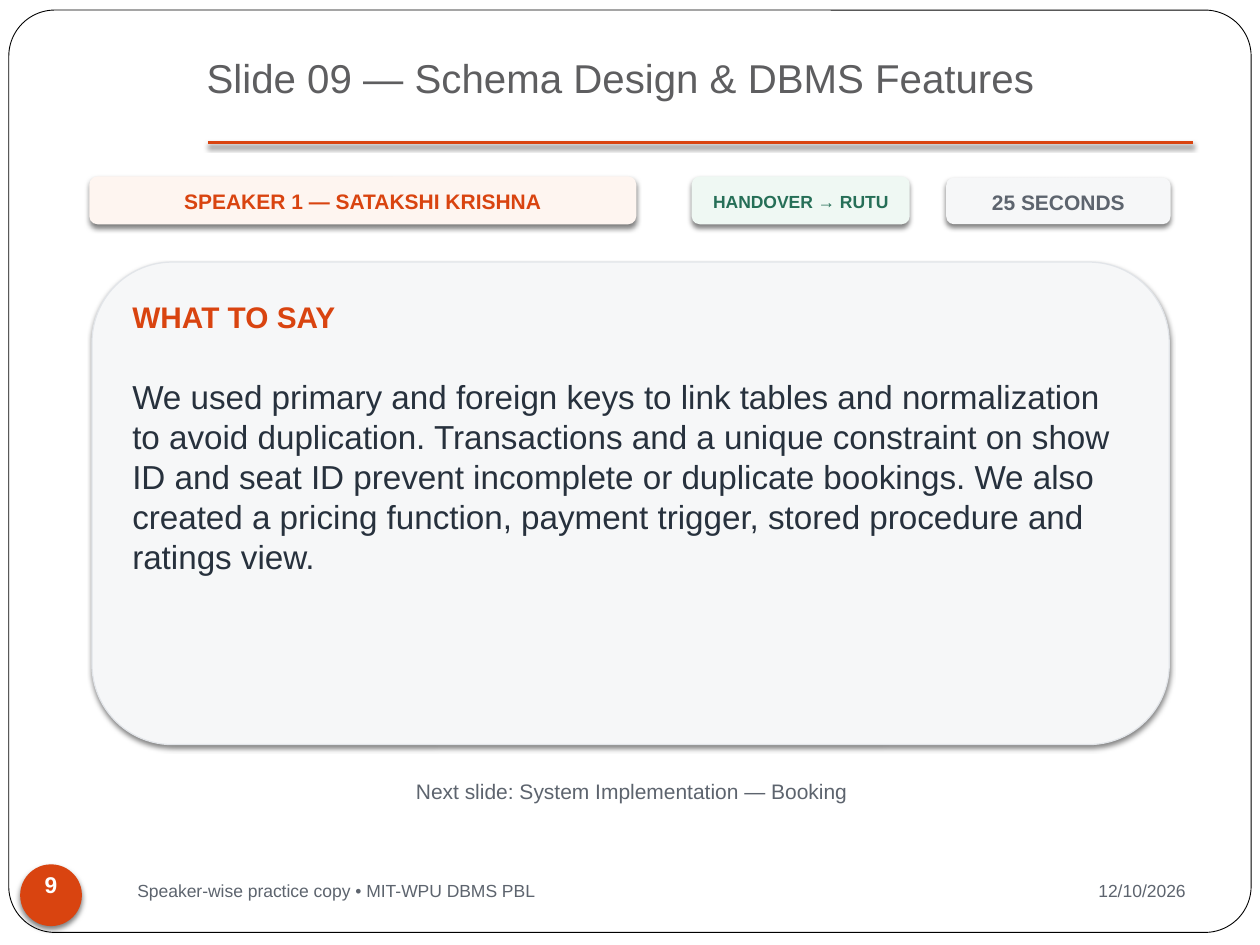
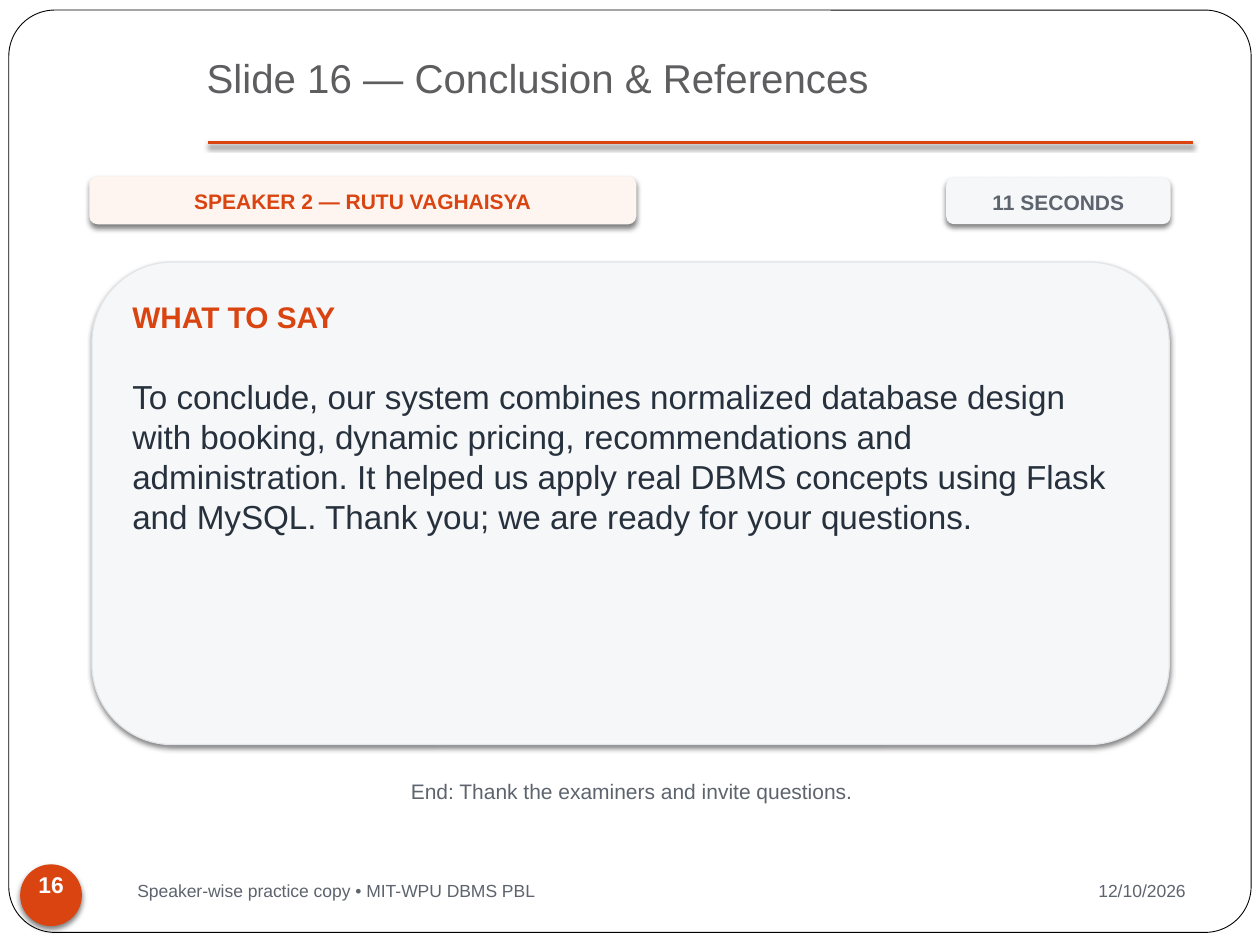
"""Build two speaker practice slides with a shared frame, badges and script card."""
from lxml.etree import SubElement
from pptx import Presentation
from pptx.dml.color import RGBColor
from pptx.enum.shapes import MSO_CONNECTOR, MSO_SHAPE
from pptx.enum.text import MSO_ANCHOR, MSO_AUTO_SIZE, PP_ALIGN
from pptx.oxml.ns import qn
from pptx.util import Inches, Pt

COLORS = {
    "white": "FFFFFF", "black": "000000", "accent": "D94410", "title": "5E5E60",
    "muted": "5D646E", "ink": "27313D", "panel": "F6F7F8", "border": "E2E5E9",
    "peach": "FEF5F0", "mint": "EFF8F3", "green": "266F57",
}
FONT = "Arial"
FOOTER = "Speaker-wise practice copy • MIT-WPU DBMS PBL"
DATE = "12/10/2026"
LEFT, CENTER, RIGHT = PP_ALIGN.LEFT, PP_ALIGN.CENTER, PP_ALIGN.RIGHT

PAGES = [
    {
        "number": 9,
        "title": "Schema Design & DBMS Features",
        "speaker": "SPEAKER 1 — SATAKSHI KRISHNA",
        "duration": "25 SECONDS",
        "speech": "We used primary and foreign keys to link tables and normalization to avoid "
                  "duplication. Transactions and a unique constraint on show ID and seat ID "
                  "prevent incomplete or duplicate bookings. We also created a pricing function, "
                  "payment trigger, stored procedure and ratings view.",
        "cue": "Next slide: System Implementation — Booking",
        "handover": "HANDOVER → RUTU",
    },
    {
        "number": 16,
        "title": "Conclusion & References",
        "speaker": "SPEAKER 2 — RUTU VAGHAISYA",
        "duration": "11 SECONDS",
        "speech": "To conclude, our system combines normalized database design with booking, "
                  "dynamic pricing, recommendations and administration. It helped us apply real "
                  "DBMS concepts using Flask and MySQL. Thank you; we are ready for your "
                  "questions.",
        "cue": "End: Thank the examiners and invite questions.",
        "handover": None,
    },
]


def color(name):
    """Return the palette colour with this name."""
    return RGBColor.from_string(COLORS[name])


def add_shadow(effects):
    """Add the soft downward shadow to an effect list."""
    shadow = SubElement(effects, qn("a:outerShdw"), blurRad=str(Pt(3)), dist=str(Pt(2)),
                        dir="5400000", algn="ctr", rotWithShape="0")
    tint = SubElement(shadow, qn("a:srgbClr"), val=COLORS["black"])
    SubElement(tint, qn("a:alpha"), val="50000")


class PracticeDeck:
    """Hold the deck style and the current slide."""

    def __init__(self):
        """Start an empty 10 by 7.5 inch deck."""
        self.deck = Presentation()
        self.deck.slide_width, self.deck.slide_height = Inches(10), Inches(7.5)
        self.page = None

    def shape(self, kind, place, fill, line=None, weight=0.5, shadow=True):
        """Add a filled preset shape."""
        shape = self.page.shapes.add_shape(kind, *map(Inches, place))
        shape.fill.solid()
        shape.fill.fore_color.rgb = color(fill)
        if line:
            shape.line.color.rgb = color(line)
            shape.line.width = Pt(weight)
        else:
            shape.line.fill.background()
        shape.shadow.inherit = False
        if shadow:
            add_shadow(shape._element.spPr.find(qn("a:effectLst")))
        return shape

    def text(self, place, text, size, ink, align=LEFT, bold=False, anchor=MSO_ANCHOR.TOP):
        """Add a wrapped text box with one style."""
        box = self.page.shapes.add_textbox(*map(Inches, place))
        frame = box.text_frame
        frame.text = text
        frame.word_wrap = True
        frame.auto_size = MSO_AUTO_SIZE.SHAPE_TO_FIT_TEXT
        frame.vertical_anchor = anchor
        frame.margin_left = frame.margin_right = frame.margin_top = Inches(0.04)
        frame.margin_bottom = Inches(0.02)
        paragraph = frame.paragraphs[0]
        paragraph.alignment = align
        font = paragraph.runs[0].font
        font.name, font.size, font.bold = FONT, Pt(size), bold
        font.color.rgb = color(ink)

    def rule(self, left, right, top):
        """Add the shadowed accent line under the title."""
        line = self.page.shapes.add_connector(
            MSO_CONNECTOR.STRAIGHT, Inches(left), Inches(top), Inches(right), Inches(top))
        line.line.color.rgb = color("accent")
        line.line.width = Pt(1.5)
        add_shadow(SubElement(line._element.spPr, qn("a:effectLst")))

    def badge(self, place, text, fill, ink, size=12, inset=0.01):
        """Add a rounded badge with a centred bold label."""
        left, top, width, height = place
        self.shape(MSO_SHAPE.ROUNDED_RECTANGLE, place, fill)
        self.text((left, top + inset, width, height - 2 * inset), text, size, ink,
                  CENTER, True, MSO_ANCHOR.MIDDLE)

    def frame(self, number, title):
        """Start a slide with its border, title, number and footer."""
        self.page = self.deck.slides.add_slide(self.deck.slide_layouts[6])
        border = self.shape(MSO_SHAPE.ROUNDED_RECTANGLE, (0.07, 0.08, 9.86, 7.32),
                            "white", "black", shadow=False)
        border.adjustments[0] = 0.05
        self.text((1.6, 0.38, 8.06, 0.6), f"Slide {number:02} — {title}", 23, "title")
        self.rule(1.65, 9.47, 1.13)
        self.shape(MSO_SHAPE.OVAL, (0.16, 6.86, 0.49, 0.49), "accent")
        self.text((0.16, 6.87, 0.49, 0.37), str(number), 13, "white", CENTER, True)
        self.text((1.05, 6.94, 6.7, 0.28), FOOTER, 10, "muted")
        self.text((8.45, 6.94, 1, 0.28), DATE, 10, "muted", RIGHT)

    def card(self, speech):
        """Add the large card with the words to say."""
        self.shape(MSO_SHAPE.ROUNDED_RECTANGLE, (0.73, 2.08, 8.55, 3.83),
                   "panel", "border", 0.7)
        self.text((1.01, 2.33, 7.85, 0.44), "WHAT TO SAY", 17, "accent", bold=True)
        self.text((1.01, 2.95, 7.95, 2.72), speech, 19, "ink")

    def practice_page(self, number, title, speaker, duration, speech, cue, handover):
        """Add one complete practice slide."""
        self.frame(number, title)
        self.badge((0.71, 1.4, 4.34, 0.38), speaker, "peach", "accent")
        self.badge((7.51, 1.41, 1.78, 0.37), duration, "panel", "muted")
        self.card(speech)
        self.text((0.98, 6.14, 8.07, 0.36), cue, 12, "muted", CENTER)
        if handover:
            self.badge((5.49, 1.4, 1.73, 0.38), handover, "mint", "green", 10, 0.07)


def main():
    """Build and save the deck."""
    practice = PracticeDeck()
    for content in PAGES:
        practice.practice_page(**content)
    practice.deck.save("out.pptx")


if __name__ == "__main__":
    main()
